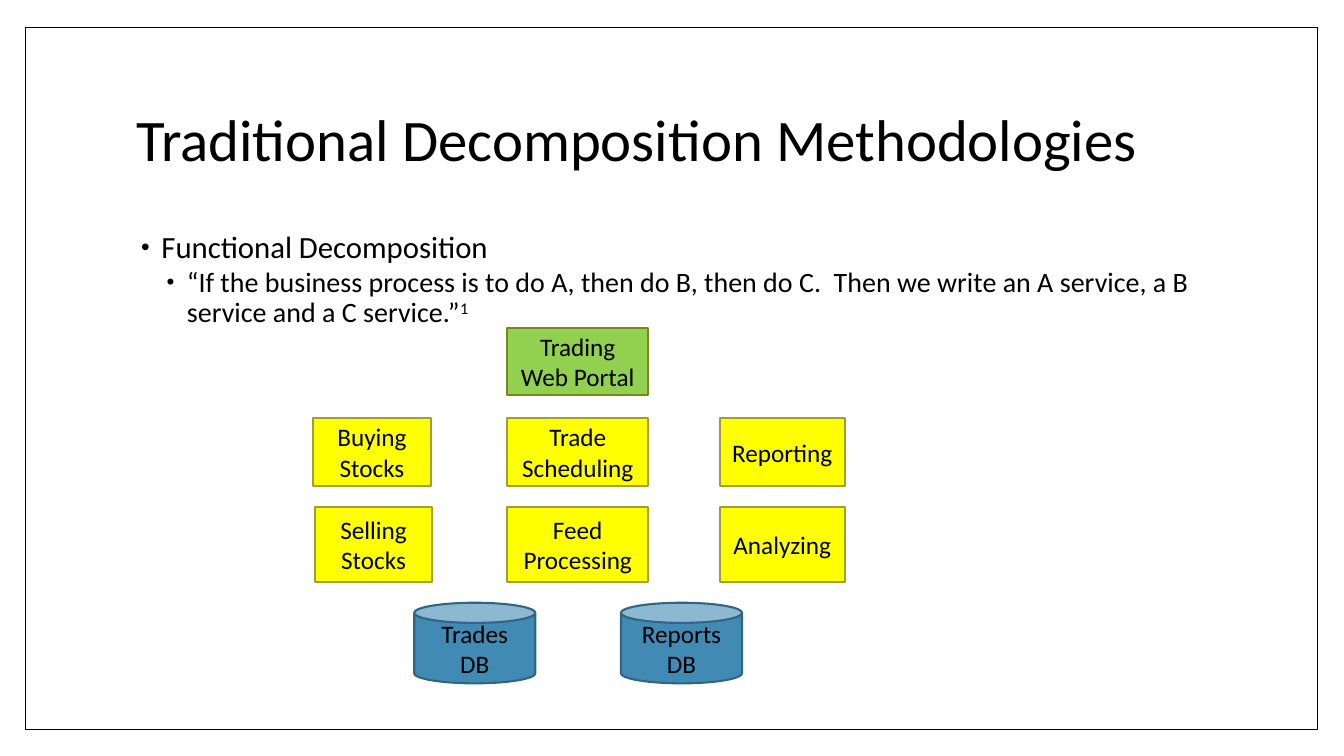
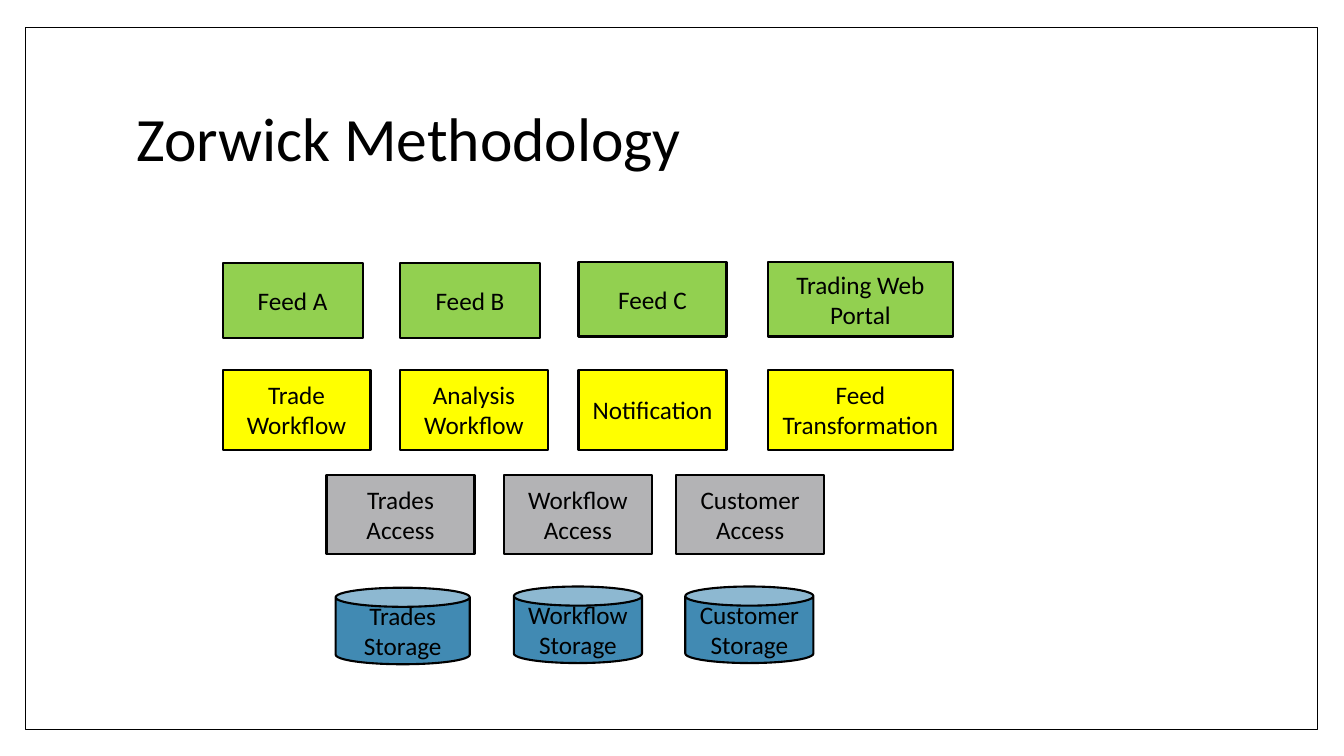
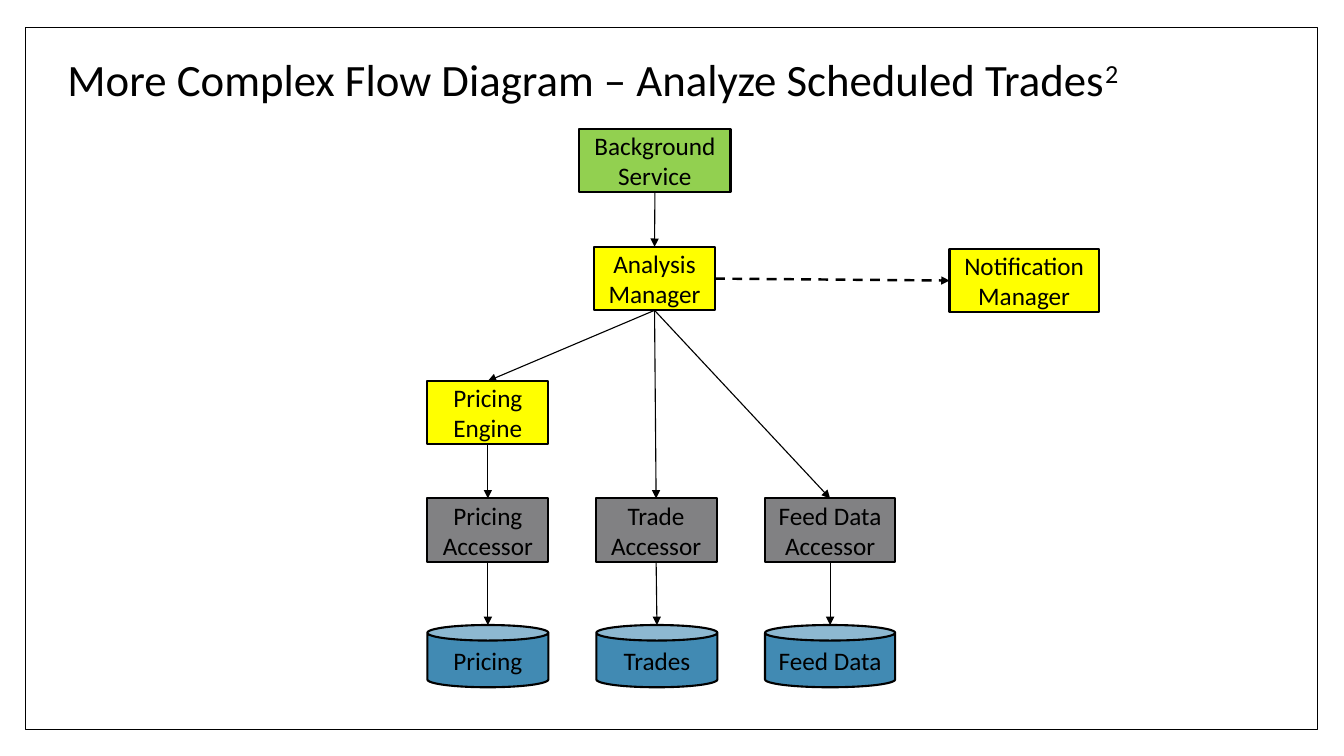
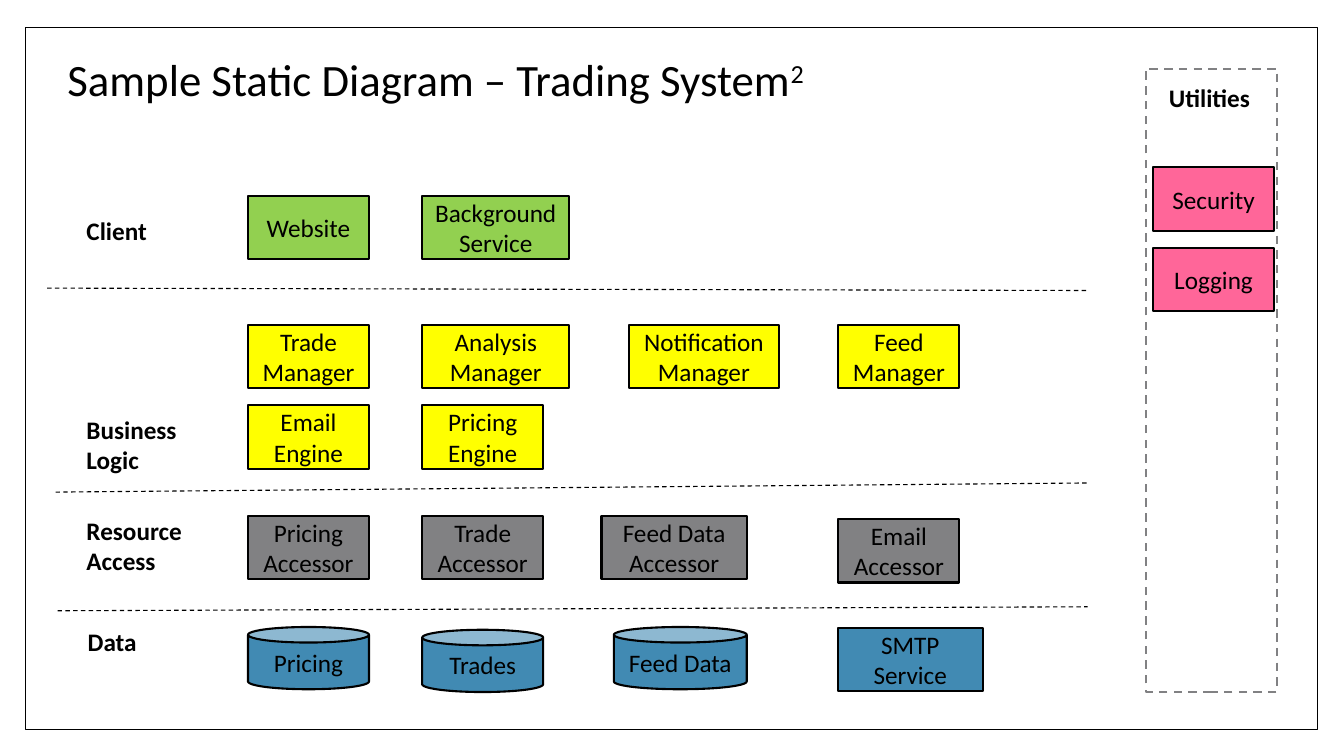
"""Build four slides on decomposing a trading system into services."""
from pptx import Presentation
from pptx.dml.color import RGBColor
from pptx.enum.dml import MSO_LINE
from pptx.enum.shapes import MSO_CONNECTOR, MSO_SHAPE
from pptx.enum.text import MSO_ANCHOR, PP_ALIGN
from pptx.oxml import parse_xml
from pptx.oxml.ns import nsdecls
from pptx.util import Cm, Pt


class Theme:
    font = "Calibri"
    black = RGBColor.from_string("000000")
    white = RGBColor.from_string("FFFFFF")
    green = RGBColor.from_string("92D050")
    yellow = RGBColor.from_string("FFFF00")
    blue = RGBColor.from_string("418AB3")
    pink = RGBColor.from_string("FF6699")
    light_grey = RGBColor.from_string("B3B3B5")
    grey = RGBColor.from_string("818183")
    green_edge = RGBColor.from_string("7B871D")
    yellow_edge = RGBColor.from_string("9F9D35")
    blue_edge = RGBColor.from_string("306684")
    text, quote, bullet, small_title = Pt(18), Pt(20), Pt(22), Pt(32)
    edge, thin, thick = Pt(1.5), Pt(0.79), Pt(1.75)


RECT, CAN = MSO_SHAPE.RECTANGLE, MSO_SHAPE.CAN


def add_text(s, text, x, y, w, h, size=Theme.text, bold=False, note="", anchor=MSO_ANCHOR.TOP):
    sp = s.shapes.add_textbox(Cm(x), Cm(y), Cm(w), Cm(h))
    tf = sp.text_frame
    tf.word_wrap = True
    tf.vertical_anchor = anchor
    tf.text = text
    if note:
        r = tf.paragraphs[-1].add_run()
        r.text = note
        r.font._element.set("baseline", "30000")
    for p in tf.paragraphs:
        for r in p.runs:
            r.font.name, r.font.size, r.font.bold = Theme.font, size, bold
            r.font.color.rgb = Theme.black
    return tf


def add_box(s, text, x, y, w, h, fill, edge=Theme.black, kind=RECT):
    sp = s.shapes.add_shape(kind, Cm(x), Cm(y), Cm(w), Cm(h))
    sp.shadow.inherit = False
    if fill is None:
        sp.fill.background()
    else:
        sp.fill.solid()
        sp.fill.fore_color.rgb = fill
    sp.line.color.rgb = edge
    sp.line.width = Theme.edge
    tf = sp.text_frame
    tf.word_wrap = True
    tf.vertical_anchor = MSO_ANCHOR.MIDDLE
    tf.text = text
    for p in tf.paragraphs:
        p.alignment = PP_ALIGN.CENTER
        for r in p.runs:
            r.font.name, r.font.size = Theme.font, Theme.text
            r.font.color.rgb = Theme.black
    return sp


prs = Presentation()
prs.slide_width, prs.slide_height = Cm(33.87), Cm(19.05)
blank = prs.slide_layouts[6]

large, small = (3.18, 1.7, 27.43, 3.76), (1.45, 1.22, 27.43, 1.7)
slides = []
for title, note, place, size in [
    ("Traditional Decomposition Methodologies", "", large, Pt(42)),
    ("Zorwick Methodology", "", large, Pt(44)),
    ("More Complex Flow Diagram – Analyze Scheduled Trades", "2", small, Theme.small_title),
    ("Sample Static Diagram – Trading System", "2", small, Theme.small_title),
]:
    s = prs.slides.add_slide(blank)
    tf = add_text(s, title, *place, size=size, note=note, anchor=MSO_ANCHOR.MIDDLE)
    tf.paragraphs[0].line_spacing = 0.9
    slides.append(s)
functional, layered, flow, static = slides

frame = add_box(functional, "", 0.64, 0.69, 32.56, 17.7, Theme.white)
frame.line.width = Pt(1)
blank.shapes.element.append(frame.element)

tf = add_text(
    functional,
    "Functional Decomposition\n“If the business process is to do A, then do B, then do C.  "
    "Then we write an A service, a B service and a C service.”",
    3.18, 5.72, 27.43, 11.23, size=Theme.quote, note="1")
for level, p in enumerate(tf.paragraphs):
    pPr = p._p.get_or_add_pPr()
    pPr.set("marL", str(Cm(0.64 * (level + 1))))
    pPr.set("indent", str(-Cm(0.51)))
    for xml in (
        '<a:buClr %s><a:srgbClr val="000000"/></a:buClr>',
        '<a:buSzPct %s val="80000"/>',
        '<a:buFont %s typeface="Arial"/>',
        '<a:buChar %s char="•"/>',
    ):
        pPr.append(parse_xml(xml % nsdecls("a")))
    p.level = level
    p.line_spacing = 0.9
heading, quote = tf.paragraphs
heading.runs[0].font.size = Theme.bullet
quote.space_before, quote.space_after = Pt(2), Pt(4)

add_box(functional, "Trading Web Portal", 12.78, 8.26, 3.56, 1.7, Theme.green, Theme.green_edge)
for y, h, cells in [
    (10.54, 1.7, [("Buying Stocks", 7.89), ("Trade Scheduling", 12.78), ("Reporting", 18.14)]),
    (12.78, 1.88, [("Selling Stocks", 7.93), ("Feed Processing", 12.78), ("Analyzing", 18.14)]),
]:
    for (text, x), w in zip(cells, (2.97, 3.56, 3.15)):
        add_box(functional, text, x, y, w, h, Theme.yellow, Theme.yellow_edge)
for text, x in [("Trades DB", 10.44), ("Reports DB", 15.65)]:
    add_box(functional, text, x, 15.19, 3.05, 2.03, Theme.blue, Theme.blue_edge, CAN)

for fill, kind, h, cells in [
    (Theme.green, RECT, 1.88, [
        ("Feed A", 5.61, 6.63, 3.53), ("Feed B", 10.08, 6.63, 3.53),
        ("Feed C", 14.58, 6.6, 3.73), ("Trading Web Portal", 19.35, 6.6, 4.67)]),
    (Theme.yellow, RECT, 2.01, [
        ("Trade Workflow", 5.61, 9.32, 3.73), ("Analysis Workflow", 10.08, 9.32, 3.73),
        ("Notification", 14.58, 9.32, 3.73), ("Feed Transformation", 19.35, 9.32, 4.67)]),
    (Theme.light_grey, RECT, 2.01, [
        ("Trades Access", 8.23, 11.96, 3.73), ("Workflow Access", 12.7, 11.96, 3.73),
        ("Customer Access", 17.04, 11.96, 3.73)]),
    (Theme.blue, CAN, 1.93, [
        ("Trades\nStorage", 8.46, 14.81, 3.38), ("Workflow\nStorage", 12.95, 14.78, 3.23),
        ("Customer\nStorage", 17.27, 14.78, 3.23)]),
]:
    for text, x, y, w in cells:
        add_box(layered, text, x, y, w, h, fill, kind=kind)

nodes = {}
for text, x, y, w, fill in [
    ("Background Service", 14.6, 3.25, 3.81, Theme.green),
    ("Analysis Manager", 14.97, 6.22, 3.05, Theme.yellow),
    ("Notification Manager", 23.93, 6.27, 3.76, Theme.yellow),
    ("Pricing Engine", 10.77, 9.6, 3.05, Theme.yellow),
    ("Pricing Accessor", 10.77, 12.56, 3.05, Theme.grey),
    ("Trade Accessor", 15.01, 12.56, 3.05, Theme.grey),
    ("Feed Data Accessor", 19.28, 12.56, 3.28, Theme.grey),
    ("Pricing", 10.77, 15.75, 3.05, Theme.blue),
    ("Trades", 15.03, 15.75, 3.05, Theme.blue),
    ("Feed Data", 19.28, 15.75, 3.28, Theme.blue),
]:
    kind, h = (CAN, 1.57) if fill == Theme.blue else (RECT, 1.6)
    nodes[text] = add_box(flow, text, x, y, w, h, fill, kind=kind)

lines = []
for start, end in [
    ("Background Service", "Analysis Manager"),
    ("Analysis Manager", "Notification Manager"),
    ("Analysis Manager", "Pricing Engine"),
    ("Analysis Manager", "Trade Accessor"),
    ("Analysis Manager", "Feed Data Accessor"),
    ("Pricing Engine", "Pricing Accessor"),
    ("Pricing Accessor", "Pricing"),
    ("Trade Accessor", "Trades"),
    ("Feed Data Accessor", "Feed Data"),
]:
    a, b = nodes[start], nodes[end]
    sideways = end == "Notification Manager"
    line = flow.shapes.add_connector(
        MSO_CONNECTOR.STRAIGHT, a.left + a.width // 2, a.top + a.height, b.left + b.width // 2, b.top)
    line.begin_connect(a, 3 if sideways else 2)
    if b.auto_shape_type == RECT:
        line.end_connect(b, 1 if sideways else 0)
    lines.append((line, sideways, True))

for x, y, end_y in [(1.19, 7.26, 7.32), (1.4, 12.4, 12.17), (1.45, 15.39, 15.29)]:
    line = static.shapes.add_connector(MSO_CONNECTOR.STRAIGHT, Cm(x), Cm(y), Cm(27.41), Cm(end_y))
    lines.append((line, True, False))

for line, dashed, arrow in lines:
    line.line.color.rgb = Theme.black
    line.line.width = Theme.thick if dashed and arrow else Theme.thin
    if dashed:
        line.line.dash_style = MSO_LINE.DASH
    if arrow:
        line.line._get_or_add_ln().append(parse_xml('<a:tailEnd %s type="triangle"/>' % nsdecls("a")))
    line._element.spPr.append(parse_xml("<a:effectLst %s/>" % nsdecls("a")))

for text, x, y, w, h in [
    ("Client", 1.93, 5.31, 2.18, 1.02),
    ("Business Logic", 1.93, 10.31, 3.4, 1.8),
    ("Resource Access", 1.93, 12.85, 3.4, 1.8),
    ("Data", 1.96, 15.65, 3.4, 1.02),
    ("Utilities", 29.21, 1.96, 2.72, 1.02),
]:
    add_text(static, text, x, y, w, h, bold=True)

utilities = add_box(static, "", 28.88, 1.73, 3.3, 15.7, None, Theme.grey)
utilities.line.dash_style = MSO_LINE.DASH
for fill, kind, h, cells in [
    (Theme.green, RECT, 1.6, [
        ("Website", 6.25, 4.93, 3.05), ("Background Service", 10.64, 4.93, 3.71)]),
    (Theme.yellow, RECT, 1.6, [
        ("Trade Manager", 6.25, 8.19, 3.05), ("Analysis\nManager", 10.64, 8.19, 3.71),
        ("Notification Manager", 15.85, 8.19, 3.78), ("Feed Manager", 21.13, 8.19, 3.05),
        ("Email Engine", 6.25, 10.21, 3.05), ("Pricing Engine", 10.64, 10.21, 3.05)]),
    (Theme.grey, RECT, 1.6, [
        ("Pricing Accessor", 6.25, 13, 3.05), ("Trade Accessor", 10.64, 13, 3.05),
        ("Feed Data Accessor", 15.16, 13, 3.66), ("Email Accessor", 21.13, 13.08, 3.05)]),
    (Theme.blue, CAN, 1.57, [
        ("Pricing", 6.25, 15.8, 3.05), ("Trades", 10.64, 15.87, 3.05),
        ("Feed Data", 15.47, 15.8, 3.35)]),
    (Theme.blue, RECT, 1.6, [("SMTP Service", 21.11, 15.82, 3.66)]),
    (Theme.pink, RECT, 1.6, [("Security", 29.06, 4.22, 3.05), ("Logging", 29.06, 6.25, 3.05)]),
]:
    for text, x, y, w in cells:
        add_box(static, text, x, y, w, h, fill, kind=kind)

prs.save("out.pptx")
